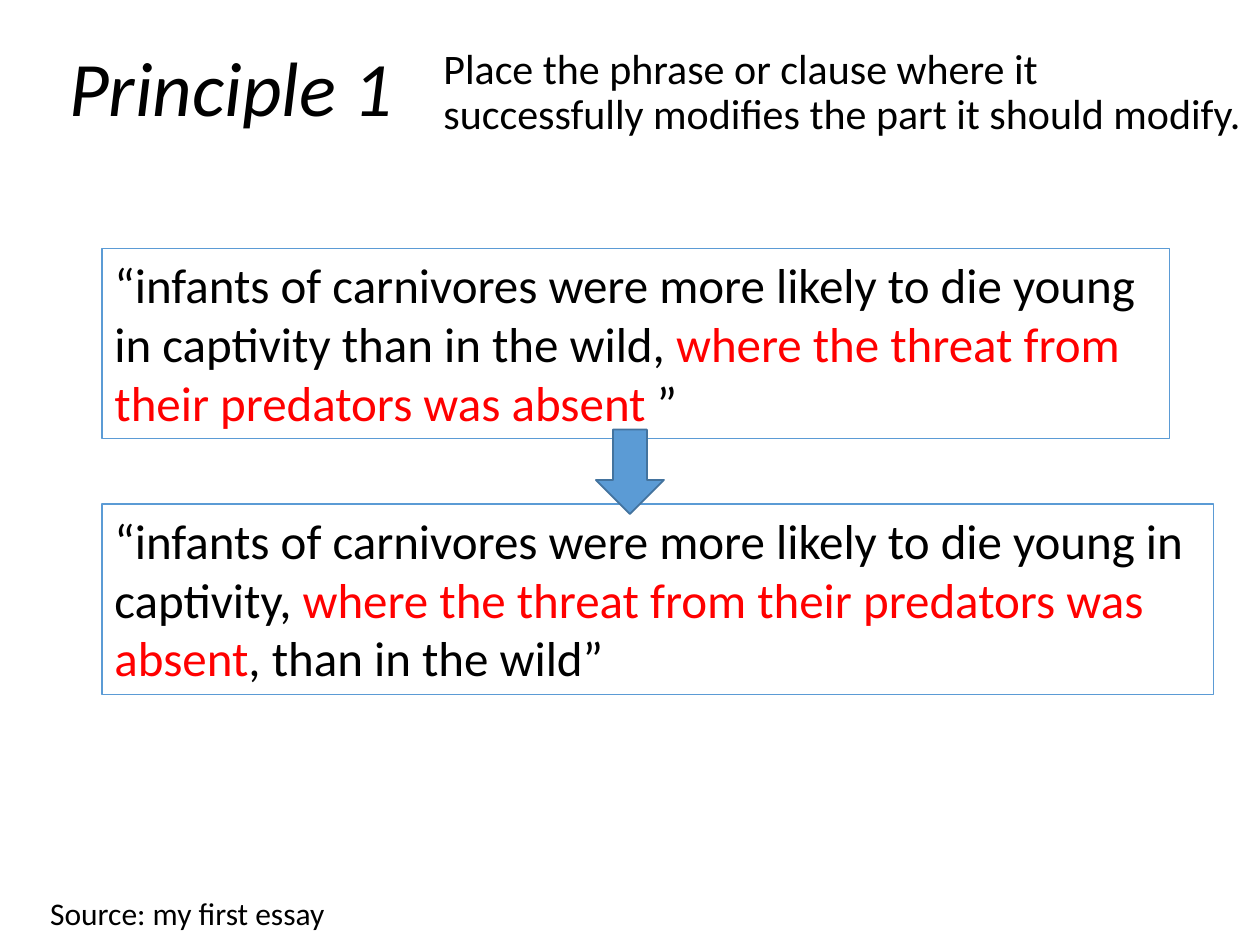
from pptx import Presentation
from pptx.dml.color import RGBColor
from pptx.enum.shapes import MSO_SHAPE
from pptx.enum.text import MSO_ANCHOR
from pptx.util import Inches, Pt

DOWN_ARROW = MSO_SHAPE.DOWN_ARROW
TOP, MIDDLE = MSO_ANCHOR.TOP, MSO_ANCHOR.MIDDLE
BLACK = RGBColor(0x00, 0x00, 0x00)
RED = RGBColor(0xFF, 0x00, 0x00)
BLUE = RGBColor(0x5B, 0x9B, 0xD5)
DARK_BLUE = RGBColor(0x43, 0x73, 0x9E)
FONT = "Calibri"
WIDTH, HEIGHT = 10, 7.5

QUOTE_LEFT, QUOTE_HEIGHT = 0.81, 1.51
MODIFIER = "where the threat from their predators was absent"
# top, width, text before the modifier, modifier, text after it
QUOTES = [
    (1.97, 8.47,
     "“infants of carnivores were more likely to die young in captivity than in the wild, ",
     MODIFIER + " ", "”"),
    (4, 8.82,
     "“infants of carnivores were more likely to die young in captivity, ",
     MODIFIER, ", than in the wild”"),
]


def add_text(slide, box, runs, size, anchor=TOP, italic=None, **paragraph_format):
    """Add a wrapping text box; runs are (text, colour) pairs."""
    label = slide.shapes.add_textbox(*map(Inches, box))
    frame = label.text_frame
    frame.word_wrap = True
    frame.vertical_anchor = anchor
    paragraph = frame.paragraphs[0]
    for name, value in paragraph_format.items():
        setattr(paragraph, name, value)
    for text, colour in runs:
        run = paragraph.add_run()
        run.text = text
        run.font.color.rgb = colour
        for name, value in {"name": FONT, "size": Pt(size), "italic": italic}.items():
            setattr(run.font, name, value)
    return label


def add_quote(slide, top, width, before, modifier, after):
    quote = add_text(slide, (QUOTE_LEFT, top, width, QUOTE_HEIGHT),
                     [(before, BLACK), (modifier, RED), (after, BLACK)], 28)
    quote.line.color.rgb = BLUE
    quote.line.width = Pt(0.75)


def add_down_arrow(slide, box):
    arrow = slide.shapes.add_shape(DOWN_ARROW, *map(Inches, box))
    arrow.shadow.inherit = False
    arrow.fill.solid()
    arrow.fill.fore_color.rgb = BLUE
    arrow.line.color.rgb = DARK_BLUE
    arrow.line.width = Pt(1)


def main():
    deck = Presentation()
    deck.slide_width, deck.slide_height = Inches(WIDTH), Inches(HEIGHT)
    slide = deck.slides.add_slide(deck.slide_layouts[6])

    add_text(slide, (0.45, 0, 8.62, 1.45), [("Principle 1", BLACK)], 44,
             anchor=MIDDLE, italic=True, line_spacing=0.9)
    add_text(slide, (3.42, 0.33, WIDTH - 3.42, 0.83),
             [("Place the phrase or clause where it successfully modifies "
               "the part it should modify.", BLACK)],
             24, line_spacing=0.9, space_before=Pt(10))
    for quote in QUOTES:
        add_quote(slide, *quote)
    add_down_arrow(slide, (4.73, 3.41, 0.54, 0.67))
    add_text(slide, (0.3, 7.05, 4.16, 0.4), [("Source: my first essay", BLACK)], 18)

    deck.save("out.pptx")


if __name__ == "__main__":
    main()
